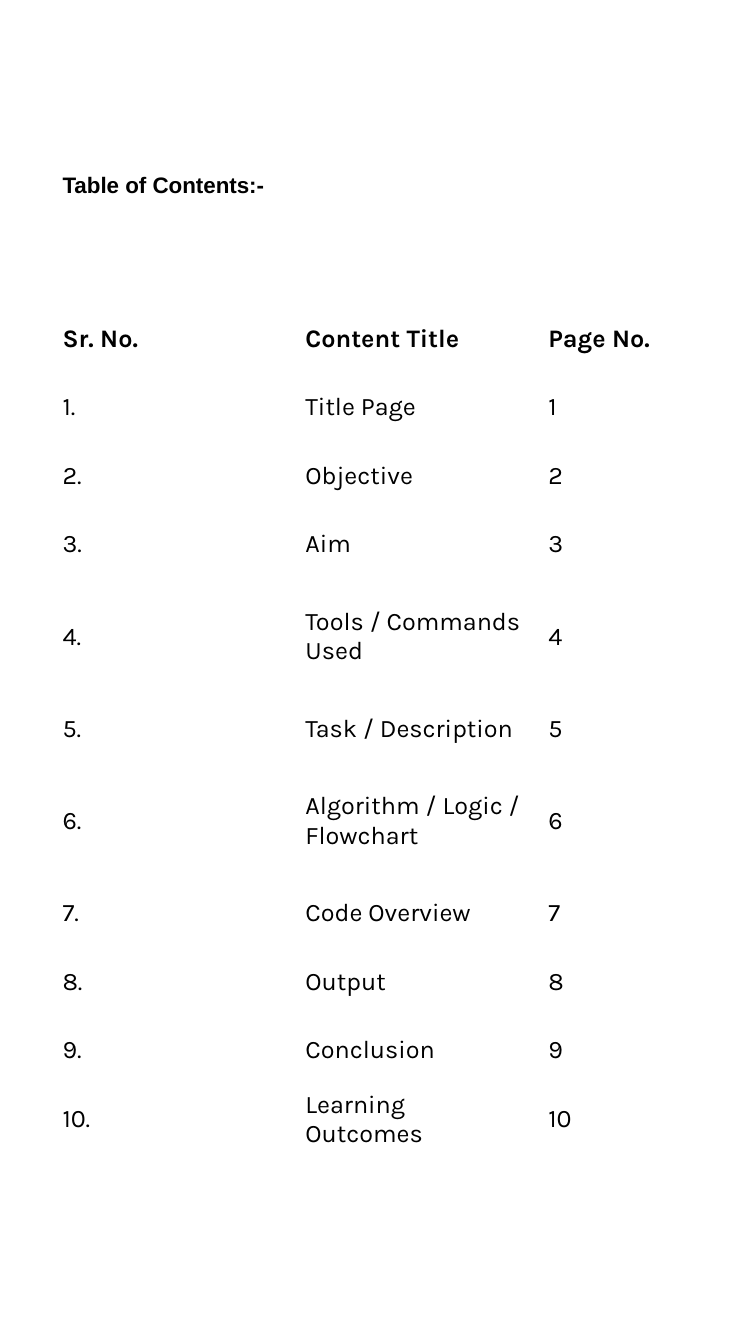
from pptx import Presentation
from pptx.dml.color import RGBColor
from pptx.enum.text import MSO_ANCHOR as Anchor, MSO_AUTO_SIZE as AutoSize, PP_ALIGN as Align
from pptx.util import Inches, Pt

HEADING = "Table of Contents:-"
COLUMN_TITLES = ("Sr. No.", "Content Title", "Page No.")
TOPICS = [
    "Title Page", "Objective", "Aim", "Tools / Commands Used",
    "Task / Description", "Algorithm / Logic / Flowchart", "Code Overview",
    "Output", "Conclusion", "Learning Outcomes",
]
TALL_TOPICS = {"Tools / Commands Used", "Algorithm / Logic / Flowchart"}

WIDTH, HEIGHT = 7.5, 13.33
LEFT, TABLE_TOP = 0.52, 3.02
COLUMN, ROW, TALL_ROW = 2.41, 0.68, 1.15
INK = "000000"


def color(code):
    return RGBColor.from_string(code)


def apply(target, values):
    for name, value in values.items():
        setattr(target, name, value)


def write(frame, text, face, size, bold):
    frame.text = text
    line = frame.paragraphs[0]
    line.alignment = Align.LEFT
    font = line.runs[0].font
    apply(font, {"name": face, "size": Pt(size), "bold": bold})
    font.color.rgb = color(INK)


def add_heading(slide):
    heading = slide.shapes.title
    apply(heading, {"left": Inches(LEFT), "top": Inches(1.09),
                    "width": Inches(2.23), "height": Inches(1.82)})
    frame = heading.text_frame
    write(frame, HEADING, "Arial", 16, True)
    apply(frame, {"vertical_anchor": Anchor.TOP, "auto_size": AutoSize.NONE,
                  "word_wrap": True, "margin_left": Inches(0.1),
                  "margin_right": 0, "margin_top": Inches(0.61)})


def add_contents(slide):
    entries = [(f"{n}.", topic, str(n)) for n, topic in enumerate(TOPICS, 1)]
    rows = [COLUMN_TITLES, *entries]
    heights = [TALL_ROW if row[1] in TALL_TOPICS else ROW for row in rows]
    contents = slide.shapes.add_table(
        len(rows), len(COLUMN_TITLES), Inches(LEFT), Inches(TABLE_TOP),
        Inches(COLUMN * len(COLUMN_TITLES)), Inches(sum(heights))).table
    apply(contents, {"first_row": False, "horz_banding": False})
    for column in contents.columns:
        column.width = Inches(COLUMN)
    for r, (row, height) in enumerate(zip(rows, heights)):
        contents.rows[r].height = Inches(height)
        for c, text in enumerate(row):
            cell = contents.cell(r, c)
            cell.fill.background()
            apply(cell, {"vertical_anchor": Anchor.MIDDLE,
                         "margin_left": Inches(0.1), "margin_right": Inches(0.1)})
            write(cell.text_frame, text, "Karla", 18, r == 0)


def main():
    deck = Presentation()
    apply(deck, {"slide_width": Inches(WIDTH), "slide_height": Inches(HEIGHT)})
    slide = deck.slides.add_slide(deck.slide_layouts[5])
    add_contents(slide)
    add_heading(slide)
    deck.save("out.pptx")


if __name__ == "__main__":
    main()
